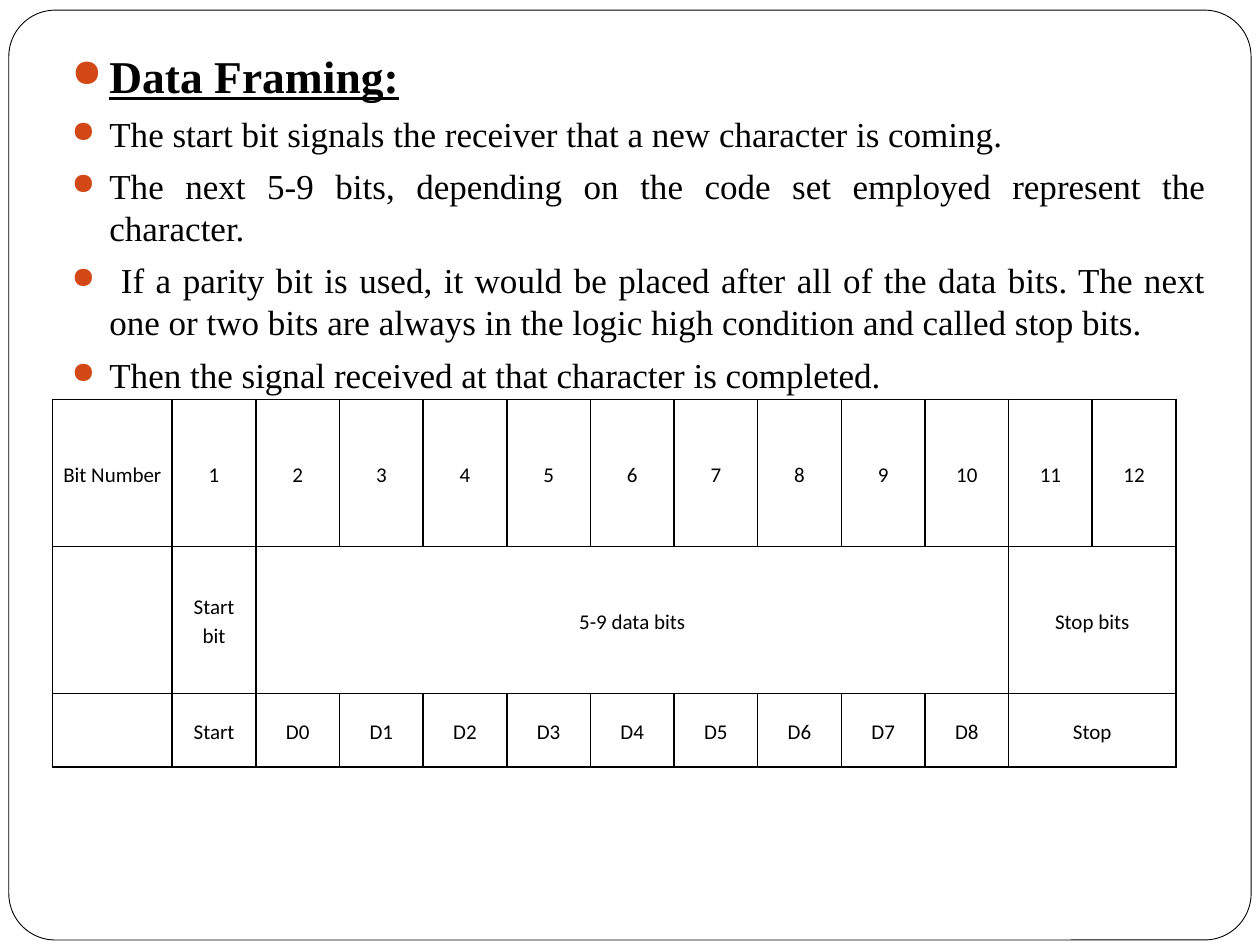
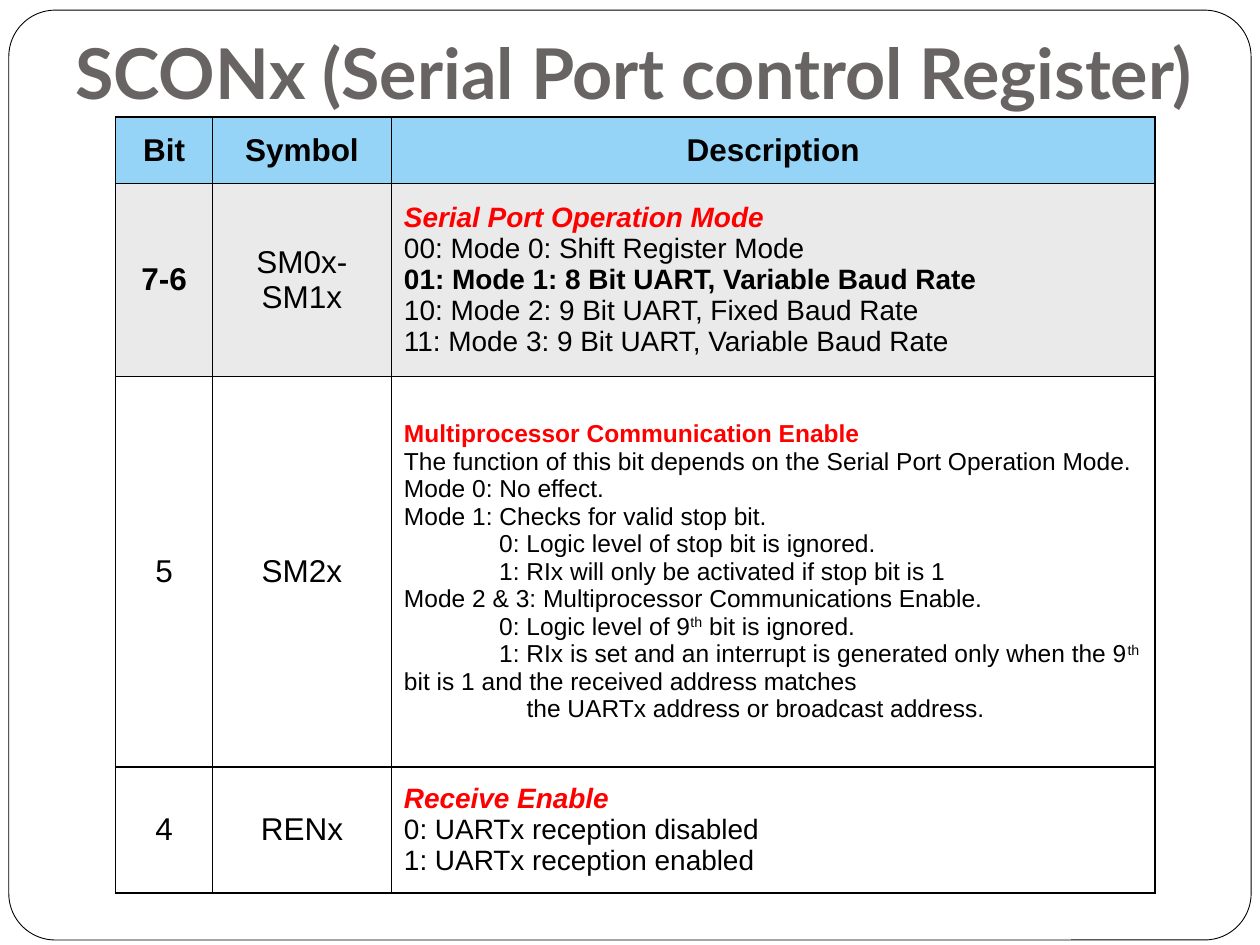
from dataclasses import dataclass, replace

from lxml import etree
from pptx import Presentation
from pptx.dml.color import RGBColor
from pptx.enum import shapes, text
from pptx.oxml import ns
from pptx.util import Inches, Pt

COLORS = {
    "paper": "FFFFFF",
    "ink": "000000",
    "title": "696464",
    "bullet": "D34817",
    "header": "95D4F7",
    "band": "EAEAEA",
    "accent": "FF0000",
}
WIDTH, HEIGHT = Inches(10), Inches(7.5)
CENTER, LEFT, JUSTIFY = text.PP_ALIGN.CENTER, text.PP_ALIGN.LEFT, text.PP_ALIGN.JUSTIFY


def across(percent: float) -> int:
    """Length as a percentage of the slide's width."""
    return round(WIDTH * percent / 100)


def down(percent: float) -> int:
    """Length as a percentage of the slide's height."""
    return round(HEIGHT * percent / 100)


@dataclass(frozen=True)
class Frame:
    left: float
    top: float
    width: float
    height: float

    def lengths(self) -> tuple[int, int, int, int]:
        return across(self.left), down(self.top), across(self.width), down(self.height)


@dataclass(frozen=True)
class Line:
    """One paragraph; words between ^ marks are raised."""
    words: str
    size: float
    font: str = "Arial"
    color: str = "ink"
    bold: bool = False
    italic: bool = False
    underline: bool = False
    align: int = LEFT
    indent: float = 0
    spacing: float = 1


@dataclass(frozen=True)
class Cell:
    lines: tuple[Line, ...] = ()
    span: int = 1
    fill: str | None = None


@dataclass(frozen=True)
class Grid:
    frame: Frame
    columns: list[float]
    rows: list[float]
    margin_x: float
    margin_y: float


# Shared drawing functions
def rgb(name: str) -> RGBColor:
    return RGBColor.from_string(COLORS[name])


def add_node(parent, tag: str, **attributes: str):
    node = etree.SubElement(parent, ns.qn(tag))
    for key, value in attributes.items():
        node.set(key, value)
    return node


def write_lines(frame, lines) -> None:
    for index, line in enumerate(lines):
        para = frame.paragraphs[0] if index == 0 else frame.add_paragraph()
        para.alignment = line.align
        para.line_spacing = line.spacing
        if line.indent:
            para._p.get_or_add_pPr().set("indent", str(across(line.indent)))
        for part, words in enumerate(line.words.split("^")):
            span = para.add_run()
            span.text = words
            font = span.font
            font.name, font.size = line.font, Pt(line.size)
            font.bold, font.italic, font.underline = line.bold, line.italic, line.underline
            font.color.rgb = rgb(line.color)
            if part % 2:
                span._r.get_or_add_rPr().set("baseline", "30000")


def add_text(page, frame: Frame, lines, anchor):
    box = page.shapes.add_textbox(*frame.lengths())
    box.text_frame.word_wrap = True
    box.text_frame.vertical_anchor = anchor
    write_lines(box.text_frame, lines)
    return box


def add_bullet(para) -> None:
    para.space_before = Pt(5.8)
    properties = para._p.get_or_add_pPr()
    properties.set("marL", str(across(3)))
    properties.set("indent", str(-across(3)))
    color = add_node(properties, "a:buClr")
    add_node(color, "a:srgbClr", val=COLORS["bullet"])
    add_node(properties, "a:buSzPct", val="85000")
    add_node(properties, "a:buChar", char="●")


def add_borders(cell) -> None:
    properties = cell._tc.get_or_add_tcPr()
    for side in ("a:lnL", "a:lnR", "a:lnT", "a:lnB"):
        border = add_node(properties, side, w=str(Pt(1)))
        fill = add_node(border, "a:solidFill")
        add_node(fill, "a:srgbClr", val=COLORS["ink"])


def add_grid(page, grid: Grid, content: list[list[Cell]]) -> None:
    table = page.shapes.add_table(
        len(grid.rows), len(grid.columns), *grid.frame.lengths()).table
    table.first_row = table.horz_banding = False
    for column, width in zip(table.columns, grid.columns):
        column.width = across(width)
    for row, height in zip(table.rows, grid.rows):
        row.height = down(height)
    for cell in table.iter_cells():
        add_borders(cell)
        cell.fill.background()
        cell.vertical_anchor = text.MSO_ANCHOR.MIDDLE
        cell.margin_left = cell.margin_right = across(grid.margin_x)
        cell.margin_top = cell.margin_bottom = down(grid.margin_y)
    for row, entries in enumerate(content):
        column = 0
        for entry in entries:
            cell = table.cell(row, column)
            if entry.span > 1:
                cell.merge(table.cell(row, column + entry.span - 1))
            if entry.fill:
                cell.fill.solid()
                cell.fill.fore_color.rgb = rgb(entry.fill)
            write_lines(cell.text_frame, entry.lines)
            column += entry.span


def add_page(deck):
    page = deck.slides.add_slide(deck.slide_layouts[6])
    border = page.shapes.add_shape(
        shapes.MSO_SHAPE.ROUNDED_RECTANGLE, *Frame(0.7, 1.07, 98.6, 98.4).lengths())
    border.adjustments[0] = 0.05
    border.shadow.inherit = False
    border.fill.solid()
    border.fill.fore_color.rgb = rgb("paper")
    border.line.color.rgb = rgb("ink")
    border.line.width = Pt(0.5)
    return page


# Data framing: bullets above the bit layout
def frame_cell(words: str, span: int = 1) -> Cell:
    return Cell((Line(words, 12, "Calibri", align=CENTER, spacing=1.15),), span)


def build_framing(deck) -> None:
    page = add_page(deck)
    heading = Line("Data Framing:", 26, "Times New Roman", bold=True, underline=True)
    points = [
        "The start bit signals the receiver that a new character is coming.",
        "The next 5-9 bits, depending on the code set employed represent the character.",
        " If a parity bit is used, it would be placed after all of the data bits. "
        "The next one or two bits are always in the logic high condition and called stop bits.",
        "Then the signal received at that character is completed.",
    ]
    lines = [heading] + [
        Line(point, 20, "Times New Roman", align=JUSTIFY) for point in points]
    body = add_text(page, Frame(4.7, 4.4, 92, 70), lines, text.MSO_ANCHOR.TOP)
    for para in body.text_frame.paragraphs:
        add_bullet(para)

    grid = Grid(Frame(4.17, 42.27, 89.2, 38.9), [9.5] + [6.64] * 12,
                [15.56, 15.56, 7.78], 0.7, 0)
    add_grid(page, grid, [
        [frame_cell("Bit Number")] + [frame_cell(str(bit)) for bit in range(1, 13)],
        [Cell(), frame_cell("Start bit"), frame_cell("5-9 data bits", 9),
         frame_cell("Stop bits", 2)],
        [Cell(), frame_cell("Start")] + [frame_cell(f"D{bit}") for bit in range(9)]
        + [frame_cell("Stop", 2)],
    ])


# Control register: title above the bit descriptions
def label(words: str, bold: bool = False, fill: str | None = None) -> Cell:
    return Cell((Line(words, 18, bold=bold, align=CENTER),), fill=fill)


def description(heading: Line, lines: list[Line], fill: str | None = None) -> Cell:
    return Cell((replace(heading, color="accent", bold=True), *lines), fill=fill)


def build_register(deck) -> None:
    page = add_page(deck)
    title = Line("SCONx (Serial Port control Register)", 40, "Lato", "title", bold=True)
    box = add_text(page, Frame(5, 1.07, 91.7, 12.27), [title], text.MSO_ANCHOR.BOTTOM)
    box.text_frame.margin_bottom = Inches(0.1)

    modes = [
        Line("00: Mode 0: Shift Register Mode", 16),
        Line("01: Mode 1: 8 Bit UART, Variable Baud Rate", 16, bold=True),
        Line("10: Mode 2: 9 Bit UART, Fixed Baud Rate", 16),
        Line("11: Mode 3: 9 Bit UART, Variable Baud Rate", 16),
    ]
    step, deep_step = 7.56, 9.73
    multiprocessor = [Line(words, 14, indent=indent) for words, indent in [
        ("The function of this bit depends on the Serial Port Operation Mode.", 0),
        ("Mode 0: No effect.", 0),
        ("Mode 1: Checks for valid stop bit.", 0),
        ("0: Logic level of stop bit is ignored.", step),
        ("1: RIx will only be activated if stop bit is 1", step),
        ("Mode 2 & 3: Multiprocessor Communications Enable.", 0),
        ("0: Logic level of 9^th^ bit is ignored.", step),
        ("1: RIx is set and an interrupt is generated only when the 9^th^ bit is 1 "
         "and the received address matches", step),
        ("the UARTx address or broadcast address.", deep_step),
    ]]
    reception = [Line("0: UARTx reception disabled", 16),
                 Line("1: UARTx reception enabled", 16)]

    grid = Grid(Frame(9.17, 12.4, 82.5, 82), [7.7, 14.2, 60.6],
                [7, 20.4, 41.33, 13.33], 1, 1.33)
    add_grid(page, grid, [
        [label(words, True, "header") for words in ("Bit", "Symbol", "Description")],
        [label("7-6", True, "band"), label("SM0x-SM1x", fill="band"),
         description(Line("Serial Port Operation Mode", 16, italic=True), modes, "band")],
        [label("5"), label("SM2x"),
         description(Line("Multiprocessor Communication Enable", 14), multiprocessor)],
        [label("4"), label("RENx"),
         description(Line("Receive Enable", 16, italic=True), reception)],
    ])


def main() -> None:
    deck = Presentation()
    deck.slide_width, deck.slide_height = WIDTH, HEIGHT
    build_framing(deck)
    build_register(deck)
    deck.save("out.pptx")


if __name__ == "__main__":
    main()
